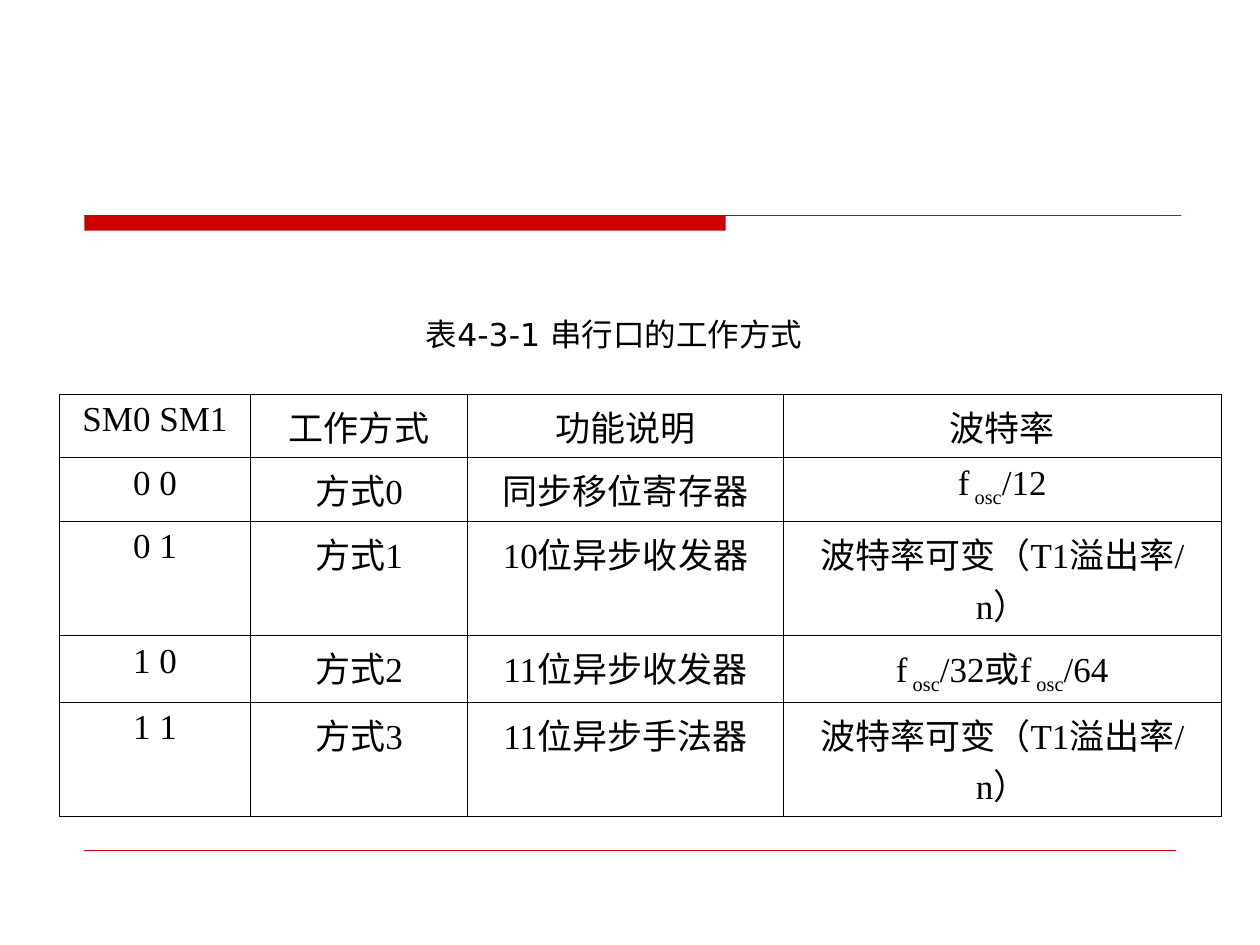
from lxml.etree import SubElement
from pptx import Presentation
from pptx.dml.color import RGBColor
from pptx.enum.shapes import MSO_CONNECTOR as Connector, MSO_SHAPE as Shape
from pptx.enum.text import MSO_ANCHOR as Anchor, PP_ALIGN as Align
from pptx.oxml.ns import qn
from pptx.util import Inches, Pt

RED = RGBColor(0xCC, 0x00, 0x00)
BLACK = RGBColor(0x00, 0x00, 0x00)

TITLE = "表4-3-1 串行口的工作方式"
SUBSCRIPT = " osc"
MODES = [
    ["SM0 SM1", "工作方式", "功能说明", "波特率"],
    ["0 0", "方式0", "同步移位寄存器", "f osc/12"],
    ["0 1", "方式1", "10位异步收发器", "波特率可变（T1溢出率/n）"],
    ["1 0", "方式2", "11位异步收发器", "f osc/32或f osc/64"],
    ["1 1", "方式3", "11位异步手法器", "波特率可变（T1溢出率/n）"],
]
COLUMN_WIDTHS = [1.52, 1.72, 2.51, 3.47]
ROW_HEIGHTS = [0.44, 0.48, 0.77, 0.48, 0.77]


class SlideBuilder:
    """Style and current slide; positions are in inches on a 10 x 7.5 grid."""

    title_font, body_font, chinese_font = "DejaVu Sans", "Times New Roman", "Noto Sans CJK SC"
    title_size, body_size = Pt(18), Pt(20)
    side_border, end_border, inner_border = Pt(0.34), Pt(0.75), Pt(0.45)

    def __init__(self, deck):
        self.slide = deck.slides.add_slide(deck.slide_layouts[5])

    def style(self, paragraph, font_name, size, align):
        paragraph.alignment = align
        font = paragraph.font
        font.name, font.size = font_name, size
        font.color.rgb = BLACK
        defaults = paragraph._p.pPr.find(qn("a:defRPr"))
        SubElement(defaults, qn("a:ea"), typeface=self.chinese_font)

    def title(self, text, left, top, width, height):
        title = self.slide.shapes.title
        title.left, title.top = Inches(left), Inches(top)
        title.width, title.height = Inches(width), Inches(height)
        frame = title.text_frame
        frame.text = text
        frame.word_wrap = True
        frame.vertical_anchor = Anchor.BOTTOM
        self.style(frame.paragraphs[0], self.title_font, self.title_size, Align.LEFT)

    def bar(self, left, top, width, height):
        bar = self.slide.shapes.add_shape(
            Shape.RECTANGLE, Inches(left), Inches(top), Inches(width), Inches(height))
        bar.shadow.inherit = False
        bar.fill.solid()
        bar.fill.fore_color.rgb = RED
        bar.line.fill.background()

    def rule(self, left, right, y, weight):
        rule = self.slide.shapes.add_connector(
            Connector.STRAIGHT, Inches(left), Inches(y), Inches(right), Inches(y))
        rule.line.color.rgb = RED
        rule.line.width = Pt(weight)
        SubElement(rule._element.spPr, qn("a:effectLst"))

    def cell_text(self, cell, text):
        paragraph = cell.text_frame.paragraphs[0]
        self.style(paragraph, self.body_font, self.body_size, Align.CENTER)
        for index, part in enumerate(text.split(SUBSCRIPT)):
            if index:
                subscript = paragraph.add_run()
                subscript.text = SUBSCRIPT
                subscript._r.get_or_add_rPr().set("baseline", "-25000")
            paragraph.add_run().text = part

    def cell_borders(self, cell, widths):
        properties = cell._tc.get_or_add_tcPr()
        for side, width in zip("LRTB", widths):
            line = SubElement(properties, qn(f"a:ln{side}"), w=str(int(width)))
            fill = SubElement(line, qn("a:solidFill"))
            SubElement(fill, qn("a:srgbClr"), val=str(BLACK))

    def table(self, rows, left, top, widths, heights):
        table = self.slide.shapes.add_table(
            len(rows), len(widths), Inches(left), Inches(top),
            Inches(sum(widths)), Inches(sum(heights))).table
        table.first_row = table.horz_banding = False
        for column, width in zip(table.columns, widths):
            column.width = Inches(width)
        for row, height in zip(table.rows, heights):
            row.height = Inches(height)
        last_row, last_column = len(rows) - 1, len(widths) - 1
        for r, texts in enumerate(rows):
            for c, text in enumerate(texts):
                cell = table.cell(r, c)
                self.cell_text(cell, text)
                self.cell_borders(cell, [
                    self.side_border if c == 0 else self.inner_border,
                    self.side_border if c == last_column else self.inner_border,
                    self.end_border if r == 0 else self.inner_border,
                    self.end_border if r == last_row else self.inner_border,
                ])
                cell.fill.background()


def main():
    deck = Presentation()
    deck.slide_width, deck.slide_height = Inches(10), Inches(7.5)
    builder = SlideBuilder(deck)

    # Red header bar with its rule, and the footer rule
    builder.bar(0.67, 1.71, 5.09, 0.12)
    builder.rule(0.67, 9.37, 1.71, 0.75)
    builder.rule(0.67, 9.33, 6.75, 0.25)

    # Caption and table of serial port modes
    builder.title(TITLE, 3.28, 2.34, 3.66, 0.51)
    builder.table(MODES, 0.47, 3.13, COLUMN_WIDTHS, ROW_HEIGHTS)

    deck.save("out.pptx")


if __name__ == "__main__":
    main()
